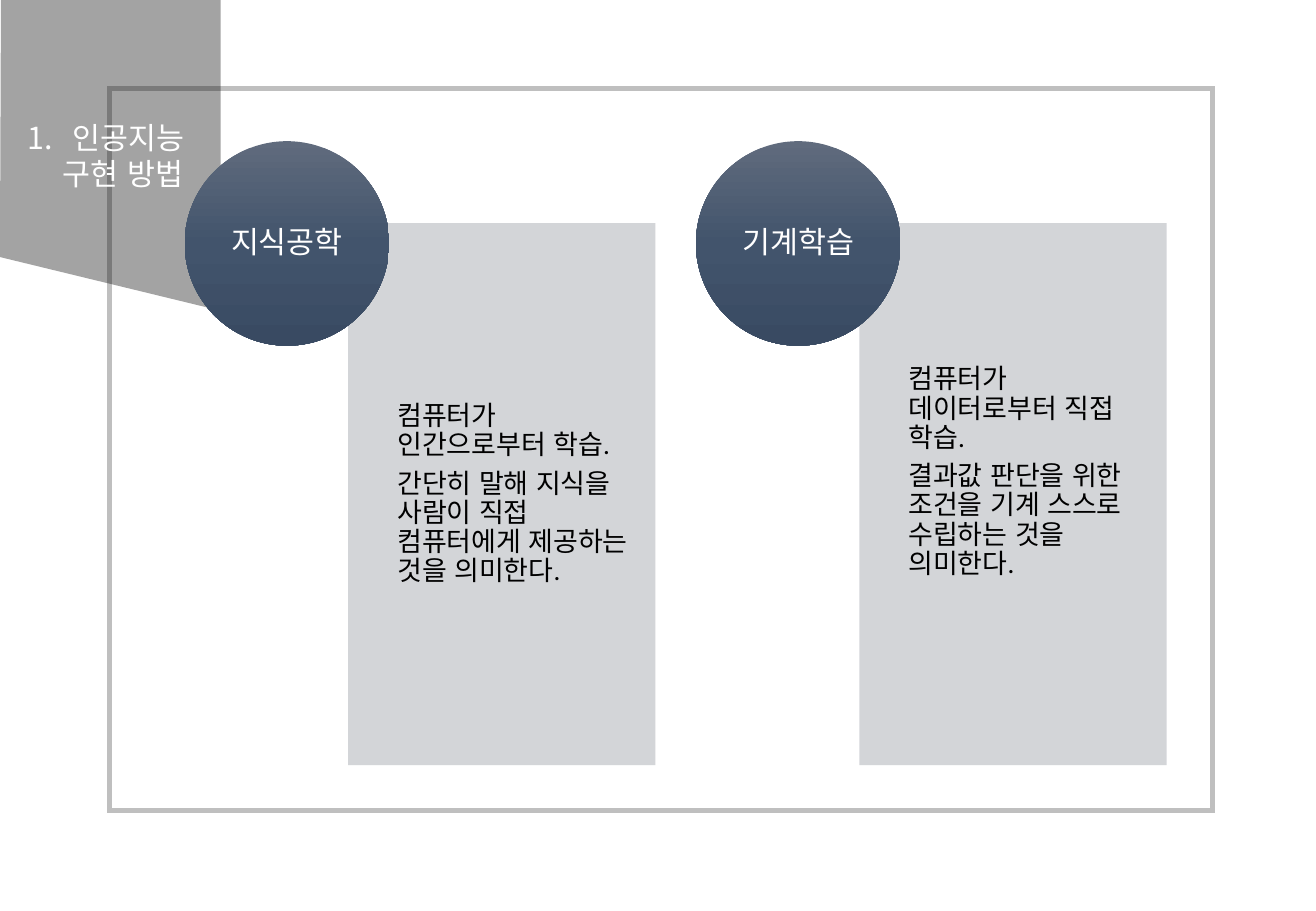
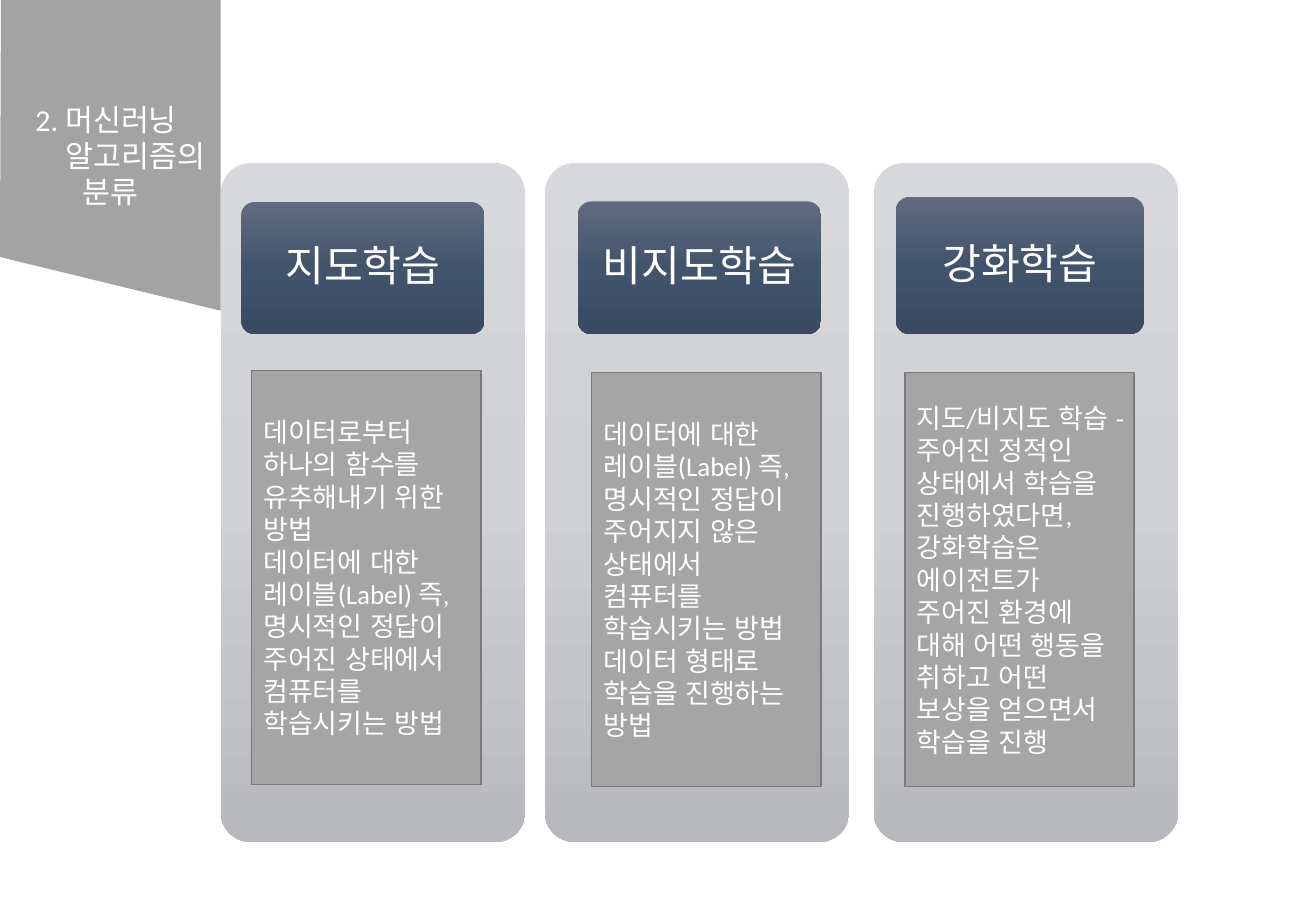
"""Build two slides on ways to implement artificial intelligence."""
from lxml import etree
from pptx import Presentation
from pptx import util as u
from pptx.dml.color import RGBColor
from pptx.enum import lang, shapes, text
from pptx.oxml.ns import qn

COLUMNS, ROWS = 130, 90
CELL = u.Inches(1) / 12
FONT = "Calibri"
WHITE, BLACK, FRAME = "FFFFFF", "000000", "BFBFBF"
PANEL, BOX, BOX_EDGE = "CFD1D4", "A5A5A5", "7A7A7A"
NAVY = ("606B7D", "42546C", "394A62")
SILVER = ("D6D8DB", "CFD1D4", "B7B9BD")
FLAG_WIDTH, FLAG_HEIGHT, FLAG_LEFT_HEIGHT = 21.8, 30.7, 25.4
TWO_CONTENT, TITLE_ONLY = 3, 5
CENTER, LEFT = text.PP_ALIGN.CENTER, text.PP_ALIGN.LEFT
RECTANGLE = shapes.MSO_SHAPE.RECTANGLE
ROUNDED = shapes.MSO_SHAPE.ROUNDED_RECTANGLE
OVAL = shapes.MSO_SHAPE.OVAL


def color(value):
    return RGBColor.from_string(value)


def cells(*counts):
    return [round(count * CELL) for count in counts]


def indent(paragraph, margin=0, first=0, number=None):
    properties = paragraph._p.get_or_add_pPr()
    properties.set("marL", str(u.Inches(margin)))
    properties.set("indent", str(u.Inches(first)))
    if number:
        etree.SubElement(properties, qn("a:buAutoNum"), type="arabicPeriod", startAt=str(number))
    else:
        etree.SubElement(properties, qn("a:buNone"))


def write(shape, lines, size=16, ink=WHITE, align=LEFT, spacing=1.0, after=0,
          insets=(0.1, 0.05, 0.1, 0.05), indents=()):
    frame = shape.text_frame
    frame.word_wrap = True
    frame.auto_size = text.MSO_AUTO_SIZE.NONE
    frame.vertical_anchor = text.MSO_ANCHOR.MIDDLE
    (frame.margin_left, frame.margin_top,
     frame.margin_right, frame.margin_bottom) = map(u.Inches, insets)
    for index, line in enumerate(lines):
        paragraph = frame.add_paragraph() if index else frame.paragraphs[0]
        paragraph.alignment = align
        paragraph.line_spacing = spacing
        paragraph.space_before, paragraph.space_after = u.Pt(0), u.Pt(after)
        indent(paragraph, **(indents[index] if indents else {}))
        paragraph.text = line
        for run in paragraph.runs:
            run.font.name, run.font.size = FONT, u.Pt(size)
            run.font.language_id = lang.MSO_LANGUAGE_ID.KOREAN
            run.font.color.rgb = color(ink)


class Deck:
    """Hold the shared style and the current slide."""

    def __init__(self):
        self.presentation = Presentation()
        self.presentation.slide_width, self.presentation.slide_height = cells(COLUMNS, ROWS)
        self.slide = None

    def add_slide(self, layout):
        self.slide = self.presentation.slides.add_slide(self.presentation.slide_layouts[layout])

    def paint(self, shape, fill=None, opacity=100, line=None, width=1):
        shape.shadow.inherit = False
        if isinstance(fill, tuple):
            self.blend(shape, fill)
        elif fill:
            shape.fill.solid()
            shape.fill.fore_color.rgb = color(fill)
            if opacity < 100:
                tone = next(shape.element.spPr.iter(qn("a:srgbClr")))
                etree.SubElement(tone, qn("a:alpha"), val=str(opacity * 1000))
        else:
            shape.fill.background()
        if line:
            shape.line.color.rgb, shape.line.width = color(line), u.Pt(width)
            outline = next(shape.element.spPr.iter(qn("a:ln")))
            etree.SubElement(outline, qn("a:miter"), lim="800000")
        else:
            shape.line.fill.background()

    def blend(self, shape, tones):
        shape.fill.gradient()
        shape.fill.gradient_angle = 270
        stops = next(shape.element.spPr.iter(qn("a:gsLst")))
        for stop in list(stops):
            stops.remove(stop)
        for index, tone in enumerate(tones):
            stop = etree.SubElement(stops, qn("a:gs"), pos=str(index * 50000))
            etree.SubElement(stop, qn("a:srgbClr"), val=tone)

    def shape(self, kind, place, **style):
        shape = self.slide.shapes.add_shape(kind, *cells(*place))
        if kind == ROUNDED:
            shape.adjustments[0] = 0.1
        self.paint(shape, **style)
        return shape

    def label(self, kind, place, caption, size, insets):
        shape = self.shape(kind, place, fill=NAVY)
        write(shape, [caption], size=size, align=CENTER, spacing=0.9, insets=insets)

    def flag(self, lines, indents):
        corners = [(FLAG_WIDTH, 0), (FLAG_WIDTH, FLAG_HEIGHT), (0, FLAG_LEFT_HEIGHT)]
        builder = self.slide.shapes.build_freeform(*cells(0.1, 0))
        builder.add_line_segments([cells(*corner) for corner in corners], close=True)
        flag = builder.convert_to_shape()
        self.paint(flag, fill=BLACK, opacity=36)
        title = self.slide.shapes.title
        self.move(title, (0, 0, FLAG_WIDTH, FLAG_HEIGHT), flag)
        write(title, lines, size=18, align=CENTER, indents=indents)

    def move(self, placeholder, place, below):
        (placeholder.left, placeholder.top,
         placeholder.width, placeholder.height) = cells(*place)
        below.element.addnext(placeholder.element)

    def body(self, index, place, below, lines, bottom):
        placeholder = self.slide.placeholders[index]
        self.move(placeholder, place, below)
        write(placeholder, lines, ink=BLACK, spacing=0.9, after=5.6,
              insets=(0, 0.12, 0.12, bottom))


def build_methods(deck):
    deck.add_slide(TWO_CONTENT)
    deck.shape(RECTANGLE, (10.8, 8.75, 109, 71.3), line=FRAME, width=3)
    deck.flag(["인공지능 ", "구현 방법"],
              [{"margin": 0.37, "first": -0.37, "number": 1}, {"first": 0.21}])
    methods = [
        ("지식공학", 0.12, ["컴퓨터가 인간으로부터 학습.",
                        "간단히 말해 지식을 사람이 직접 컴퓨터에게 제공하는 것을 의미한다."]),
        ("기계학습", 0.48, ["컴퓨터가 데이터로부터 직접 학습.",
                        "결과값 판단을 위한 조건을 기계 스스로 수립하는 것을 의미한다."]),
    ]
    for index, (name, bottom, lines) in enumerate(methods):
        shift = index * 50.5
        panel = deck.shape(RECTANGLE, (34.4 + shift, 22.05, 30.35, 53.55), fill=PANEL, opacity=90)
        deck.body(index + 1, (39.25 + shift, 22.05, 25.4, 53.55), panel, lines, bottom)
        deck.label(OVAL, (18.25 + shift, 13.95, 20.2, 20.2), name, 18, (0, 0, 0, 0))


def build_algorithms(deck):
    deck.add_slide(TITLE_ONLY)
    deck.flag(["2. 머신러닝 ", "알고리즘의 분류"], [{}, {"first": 0.41}])
    algorithms = [
        ("지도학습", 21.8, (23.85, 19.95, 24, 13.05), (24.85, 36.6), 0.14,
         ["데이터로부터 하나의 함수를 유추해내기 위한 방법",
          "데이터에 대한 레이블(Label) 즉, 명시적인 정답이 주어진 상태에서 "
          "컴퓨터를 학습시키는 방법"]),
        ("비지도학습", 53.8, (57.1, 19.9, 24, 13.1), (58.45, 36.8), 0.14,
         ["데이터에 대한 레이블(Label) 즉, 명시적인 정답이 주어지지 않은 상태에서 "
          "컴퓨터를 학습시키는 방법",
          "데이터 형태로 학습을 진행하는 방법"]),
        ("강화학습", 86.3, (88.5, 19.45, 24.5, 13.55), (89.4, 36.8), 0.08,
         ["지도/비지도 학습 - 주어진 정적인 상태에서 학습을 진행하였다면, "
          "강화학습은 에이전트가\v주어진 환경에\v대해 어떤 행동을 취하고 "
          "어떤\v보상을 얻으면서 학습을 진행"]),
    ]
    for name, left, header, corner, right, lines in algorithms:
        deck.shape(ROUNDED, (left, 16.1, 30.1, 67.1), fill=SILVER)
        deck.label(ROUNDED, header, name, 25, (0.07, 0.05, 0.07, 0.05))
        box = deck.shape(RECTANGLE, (*corner, 22.65, 40.9), fill=BOX, line=BOX_EDGE)
        write(box, lines, insets=(0.1, 0.05, right, 0.05))


def main():
    deck = Deck()
    build_methods(deck)
    build_algorithms(deck)
    deck.presentation.save("out.pptx")


if __name__ == "__main__":
    main()
